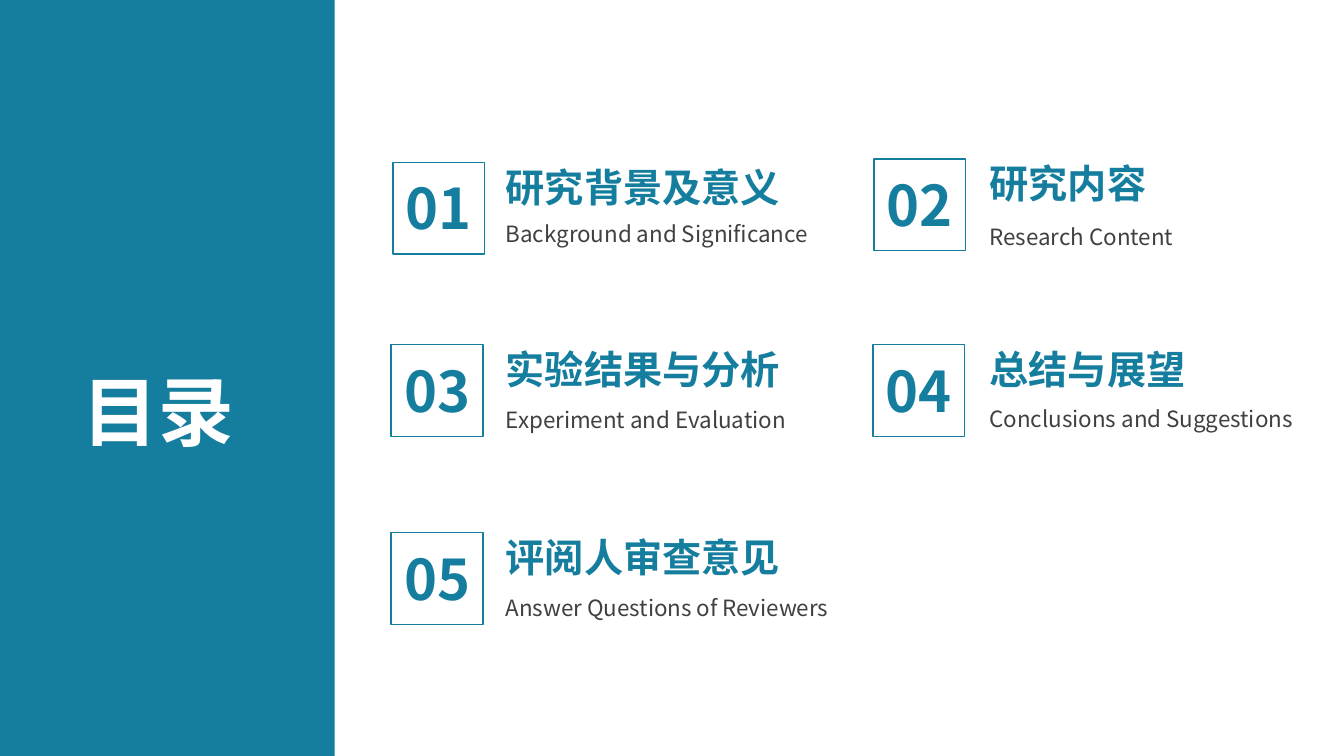
import pptx
import pptx.dml.color
import pptx.enum.shapes
import pptx.enum.text
import pptx.oxml
import pptx.oxml.ns
import pptx.util

Pt = pptx.util.Pt
ALIGN = pptx.enum.text.PP_ALIGN
COLORS = {"teal": "157E9F", "gray": "404040", "white": "FFFFFF"}
FONT = "Noto Sans CJK SC"
FORMATS = {
    "title": {"size": Pt(54), "bold": True, "color": "white", "align": ALIGN.CENTER},
    "number": {"size": Pt(40), "bold": True, "color": "teal", "align": ALIGN.CENTER},
    "heading": {"size": Pt(28), "bold": True, "color": "teal", "align": ALIGN.LEFT},
    "subtitle": {"size": Pt(16), "bold": False, "color": "gray", "align": ALIGN.LEFT},
}


def rgb(color):
    return pptx.dml.color.RGBColor.from_string(COLORS[color])


class ContentsSlide:
    def __init__(self, slide):
        self.slide = slide

    def rectangle(self, left, top, width, height, fill=None, line=None):
        rect = self.slide.shapes.add_shape(
            pptx.enum.shapes.MSO_SHAPE.RECTANGLE,
            Pt(left), Pt(top), Pt(width), Pt(height))
        rect.shadow.inherit = False
        if fill:
            rect.fill.solid()
            rect.fill.fore_color.rgb = rgb(fill)
        else:
            rect.fill.background()
        if line:
            rect.line.color.rgb = rgb(line)
            rect.line.width = Pt(1)
        else:
            rect.line.fill.background()

    def text(self, wording, style, left, top, width, height, wrap=True):
        box = self.slide.shapes.add_textbox(Pt(left), Pt(top), Pt(width), Pt(height))
        frame = box.text_frame
        frame.word_wrap = wrap
        frame.auto_size = pptx.enum.text.MSO_AUTO_SIZE.SHAPE_TO_FIT_TEXT
        paragraph = frame.paragraphs[0]
        paragraph.alignment = FORMATS[style]["align"]
        run = paragraph.add_run()
        run.text = wording
        for name in ("size", "bold"):
            setattr(run.font, name, FORMATS[style][name])
        run.font.color.rgb = rgb(FORMATS[style]["color"])
        run.font.name = FONT
        east_asian = pptx.oxml.parse_xml(
            f'<a:ea {pptx.oxml.ns.nsdecls("a")} typeface="{FONT}"/>')
        run.font._element.append(east_asian)

    def chapter(self, number, heading, subtitle, box_left, box_top,
                text_left, subtitle_top, subtitle_width):
        """Draw a framed number with its heading and subtitle."""
        side = 65.5
        self.text(number, "number", box_left, box_top + 4.75, side, 55.5)
        self.rectangle(box_left, box_top, side, side, line="teal")
        self.text(heading, "heading", text_left, box_top - 3, 220, 41)
        self.text(subtitle, "subtitle", text_left, subtitle_top, subtitle_width, 26.6)


CHAPTERS = [
    # heading, subtitle, frame left, frame top, subtitle top
    ("研究背景及意义", "Background and Significance", 280.8, 115.9, 154),
    ("研究内容", "Research Content", 624.2, 113.6, 155.6),
    ("实验结果与分析", "Experiment and Evaluation", 279.4, 246.2, 286.6),
    ("总结与展望", "Conclusions and Suggestions", 623.5, 246.2, 285.8),
    ("评阅人审查意见", "Answer Questions of Reviewers", 279.4, 380.4, 421.2),
]
COLUMNS = [(354.2, 260), (699.8, 260)]  # text left, subtitle width


def main():
    deck = pptx.Presentation()
    deck.slide_width, deck.slide_height = Pt(960), Pt(540)
    contents = ContentsSlide(deck.slides.add_slide(deck.slide_layouts[6]))

    contents.rectangle(0, 0, 239, 540, fill="teal")
    contents.text("目录", "title", 51, 257, 124, 72.7, wrap=False)
    for index, (heading, subtitle, left, top, subtitle_top) in enumerate(CHAPTERS):
        text_left, subtitle_width = COLUMNS[index % 2]
        contents.chapter(f"{index + 1:02}", heading, subtitle, left, top,
                         text_left, subtitle_top, subtitle_width)
    deck.save("out.pptx")


if __name__ == "__main__":
    main()
